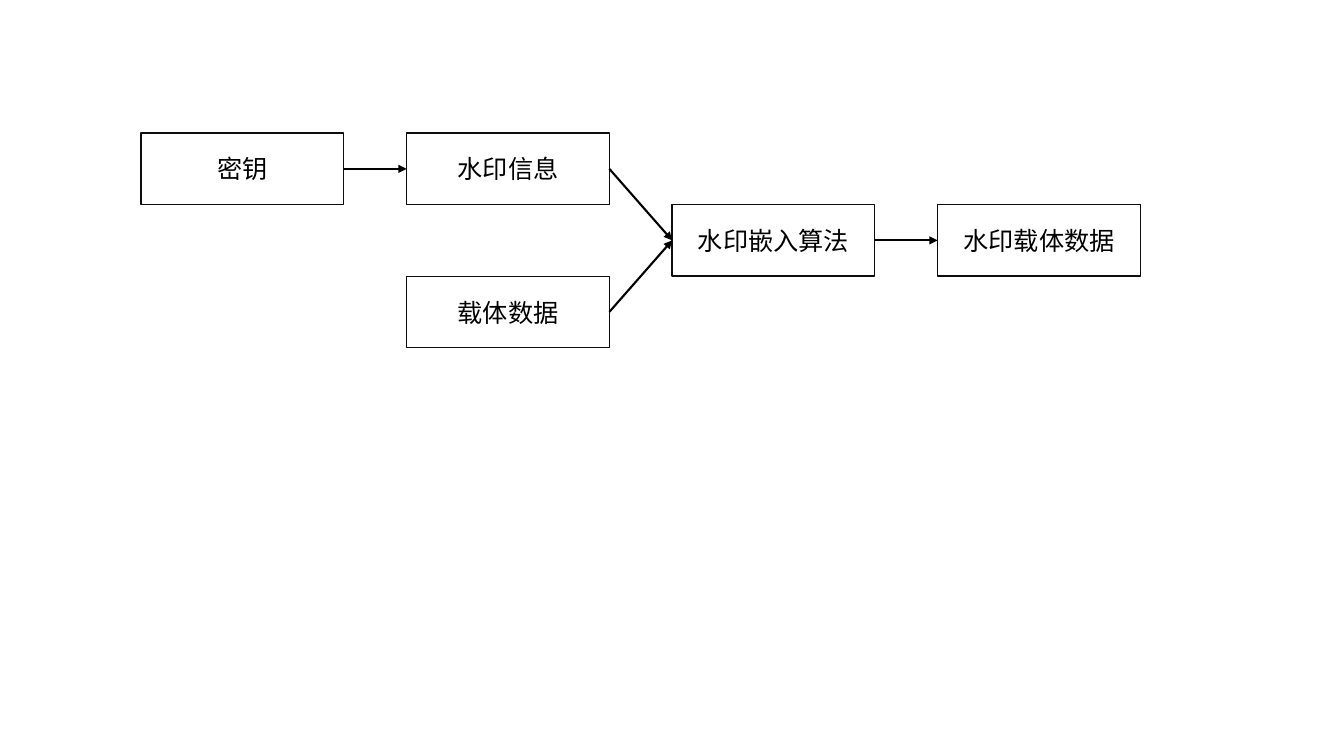
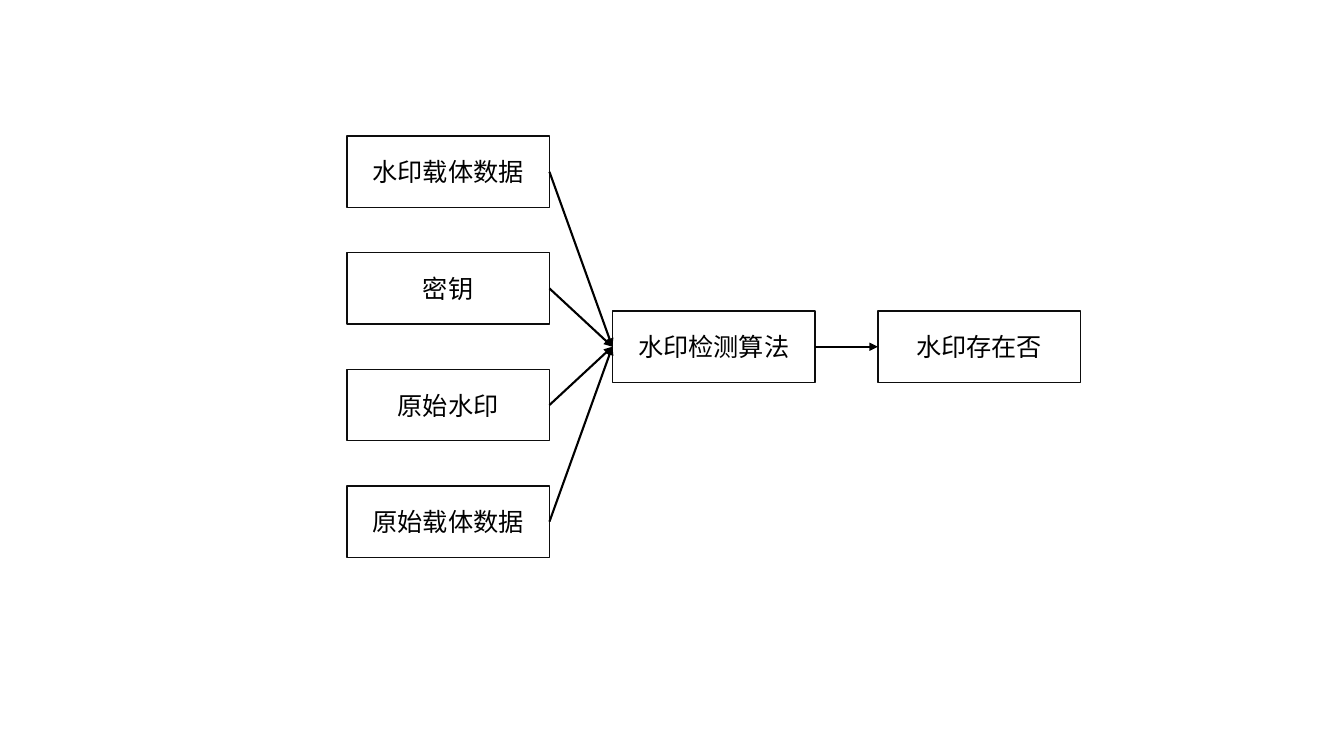
from pptx import Presentation
from pptx.dml.color import RGBColor
from pptx.enum.shapes import MSO_CONNECTOR, MSO_SHAPE
from pptx.enum.text import MSO_ANCHOR, PP_ALIGN
from pptx.oxml.ns import qn
from pptx.util import Inches, Pt
from lxml.etree import SubElement

BLACK = RGBColor(0x00, 0x00, 0x00)
EDGE = RGBColor(0x0D, 0x0D, 0x0D)
FONT = "Noto Sans CJK SC"
WIDE, HIGH = 2.01, 0.71
COL = 7.9 / 3
LEFT, RIGHT = 1, 3

FLOWS = [
    {
        "start": (1.4, 1.32),
        "row": HIGH,
        "boxes": [
            ("密钥", 0, 0),
            ("水印信息", 1, 0),
            ("载体数据", 1, 2),
            ("水印嵌入算法", 2, 1),
            ("水印载体数据", 3, 1),
        ],
        "links": [(0, 1), (1, 3), (2, 3), (3, 4)],
    },
    {
        "start": (3.44, 1.35),
        "row": 3.47 / 3,
        "boxes": [
            ("水印载体数据", 0, 0),
            ("密钥", 0, 1),
            ("原始水印", 0, 2),
            ("原始载体数据", 0, 3),
            ("水印检测算法", 1, 1.5),
            ("水印存在否", 2, 1.5),
        ],
        "links": [(0, 4), (1, 4), (2, 4), (3, 4), (4, 5)],
    },
]


def add_box(slide, text, left, top):
    box = slide.shapes.add_shape(
        MSO_SHAPE.RECTANGLE, Inches(left), Inches(top), Inches(WIDE), Inches(HIGH)
    )
    box.shadow.inherit = False
    box.fill.background()
    box.line.color.rgb = EDGE
    box.line.width = Pt(1)
    frame = box.text_frame
    frame.text = text
    frame.vertical_anchor = MSO_ANCHOR.MIDDLE
    par = frame.paragraphs[0]
    par.alignment = PP_ALIGN.CENTER
    run = par.runs[0]
    run.font.size = Pt(18)
    run.font.name = FONT
    run.font.color.rgb = BLACK
    SubElement(run.font._element, qn("a:ea"), typeface=FONT)
    return box


def add_link(slide, tail, head):
    link = slide.shapes.add_connector(MSO_CONNECTOR.STRAIGHT, 0, 0, 0, 0)
    link.begin_connect(tail, RIGHT)
    link.end_connect(head, LEFT)
    link.line.color.rgb = BLACK
    link.line.width = Pt(1.5)
    SubElement(link.line._get_or_add_ln(), qn("a:tailEnd"), type="triangle")
    SubElement(link._element.spPr, qn("a:effectLst"))


deck = Presentation()
deck.slide_width = Inches(13.33)
deck.slide_height = Inches(7.5)
blank = deck.slide_layouts[6]

for flow in FLOWS:
    slide = deck.slides.add_slide(blank)
    left, top = flow["start"]
    boxes = [
        add_box(slide, text, left + col * COL, top + row * flow["row"])
        for text, col, row in flow["boxes"]
    ]
    for tail, head in flow["links"]:
        add_link(slide, boxes[tail], boxes[head])

deck.save("out.pptx")
